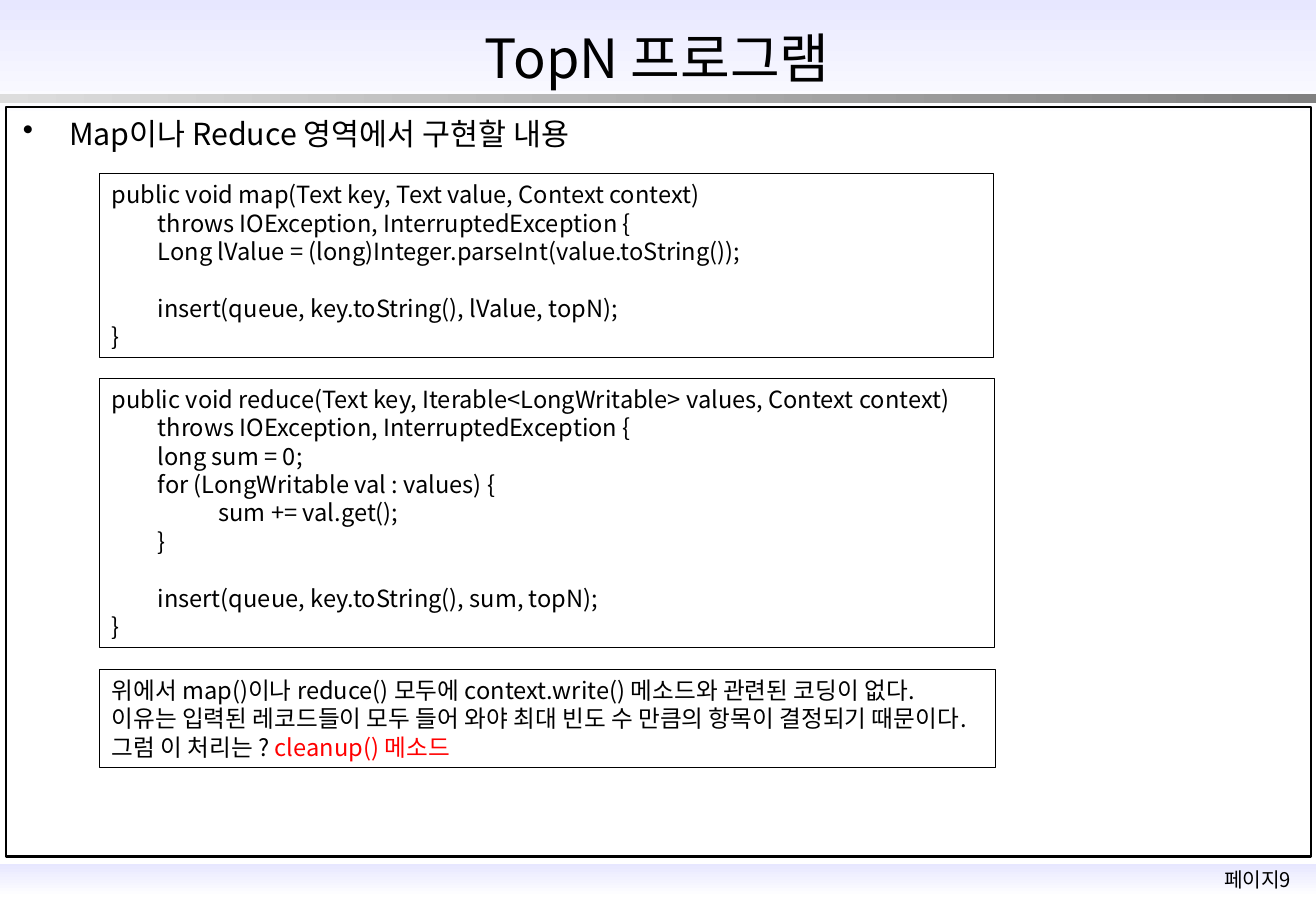
from lxml import etree
from pptx import Presentation
from pptx.dml.color import RGBColor
from pptx.enum.shapes import MSO_SHAPE
from pptx.enum.text import MSO_ANCHOR, PP_ALIGN
from pptx.oxml.ns import qn
from pptx.util import Inches, Pt

RECT = MSO_SHAPE.RECTANGLE
TOP, MIDDLE = MSO_ANCHOR.TOP, MSO_ANCHOR.MIDDLE
LEFT, CENTER = PP_ALIGN.LEFT, PP_ALIGN.CENTER

FONT = "Noto Sans CJK KR"
BLACK, RED = "000000", "FF0000"
LAVENDER, WHITE = "E7E7FF", "FFFFFF"
SILVER, GRAY = "DDDDDD", "808080"
SLIDE_W, SLIDE_H = 10.83, 7.5
INDENT = 0.38
CODE_LINE = Pt(17)

# An empty string stands for a gap of one line
MAP_CODE = [
    "public void map(Text key, Text value, Context context)",
    "\tthrows IOException, InterruptedException {",
    "\tLong lValue = (long)Integer.parseInt(value.toString());",
    "",
    "\tinsert(queue, key.toString(), lValue, topN);",
    "}",
]
REDUCE_CODE = [
    "public void reduce(Text key, Iterable<LongWritable> values, Context context)",
    "\tthrows IOException, InterruptedException {",
    "\tlong sum = 0;",
    "\tfor (LongWritable val : values) {",
    "\t\tsum += val.get();",
    "\t}",
    "",
    "\tinsert(queue, key.toString(), sum, topN);",
    "}",
]
REMARK = [
    "위에서 map()이나 reduce() 모두에 context.write() 메소드와 관련된 코딩이 없다.",
    "이유는 입력된 레코드들이 모두 들어 와야 최대 빈도 수 만큼의 항목이 결정되기 때문이다.",
    [("그럼 이 처리는 ? ", BLACK), ("cleanup() 메소드", RED)],
]


def rgb(color):
    return RGBColor.from_string(color)


def add_run(p, text, size, color=BLACK):
    r = p.add_run()
    r.text = text
    for name, value in {"size": Pt(size), "name": FONT}.items():
        setattr(r.font, name, value)
    r.font.color.rgb = rgb(color)
    ea = etree.SubElement(r.font._element, qn("a:ea"))
    ea.set("typeface", FONT)


def set_indent(p):
    pPr = p._p.get_or_add_pPr()
    pPr.set("marL", str(Inches(INDENT)))
    pPr.set("indent", str(-Inches(INDENT)))
    return pPr


def add_text(slide, box, text, size, align=LEFT, anchor=TOP):
    sp = slide.shapes.add_textbox(*map(Inches, box))
    tf = sp.text_frame
    for name, value in {"word_wrap": True, "vertical_anchor": anchor}.items():
        setattr(tf, name, value)
    p = tf.paragraphs[0]
    p.alignment = align
    add_run(p, text, size)
    return p


def add_bullet(slide, box, text, size):
    p = add_text(slide, box, text, size)
    etree.SubElement(set_indent(p), qn("a:buChar")).set("char", "•")


def add_band(slide, top, height, colors, angle):
    sp = slide.shapes.add_shape(RECT, 0, Inches(top), Inches(SLIDE_W), Inches(height))
    sp.shadow.inherit = False
    sp.line.fill.background()
    sp.fill.gradient()
    sp.fill.gradient_angle = angle
    for stop, color in zip(sp.fill.gradient_stops, colors):
        stop.color.rgb = rgb(color)


def add_frame(slide, box, width):
    sp = slide.shapes.add_shape(RECT, *map(Inches, box))
    sp.shadow.inherit = False
    sp.fill.background()
    sp.line.color.rgb = rgb(BLACK)
    sp.line.width = Pt(width)
    return sp


def add_lines_box(slide, top, width, height, lines):
    tf = add_frame(slide, (0.82, top, width, height), 0.25).text_frame
    for name, value in {"word_wrap": False, "vertical_anchor": MIDDLE}.items():
        setattr(tf, name, value)
    p, gap = tf.paragraphs[0], False
    for i, line in enumerate(lines):
        if not line:
            gap = True
            continue
        if i:
            p = tf.add_paragraph()
        p.alignment = LEFT
        set_indent(p)
        if gap:
            p.space_before = CODE_LINE
            gap = False
        runs = [(line, BLACK)] if isinstance(line, str) else line
        for text, color in runs:
            add_run(p, text, 14, color)


def main():
    prs = Presentation()
    prs.slide_width, prs.slide_height = Inches(SLIDE_W), Inches(SLIDE_H)
    slide = prs.slides.add_slide(prs.slide_layouts[6])

    # Bands, page number and content frame
    add_band(slide, 7.11, 0.27, (LAVENDER, WHITE), 270)
    add_band(slide, 0, 1, (LAVENDER, WHITE), 270)
    add_text(slide, (9.82, 7.09, 1.06, 0.3), "페이지9", 12, CENTER)
    add_band(slide, 0.77, 0.08, (SILVER, GRAY), 0)
    add_frame(slide, (0.05, 0.88, 10.74, 6.17), 1.5)

    # Title and heading
    add_text(slide, (1.4, 0.18, 8.02, 0.58), "TopN 프로그램", 32, CENTER, MIDDLE)
    add_bullet(slide, (0.09, 0.9, 10.5, 0.4),
               "Map이나 Reduce 영역에서 구현할 내용", 18)

    # Code and remark
    add_lines_box(slide, 1.43, 7.35, 1.51, MAP_CODE)
    add_lines_box(slide, 3.11, 7.36, 2.22, REDUCE_CODE)
    add_lines_box(slide, 5.51, 7.37, 0.81, REMARK)

    prs.save("out.pptx")


main()
